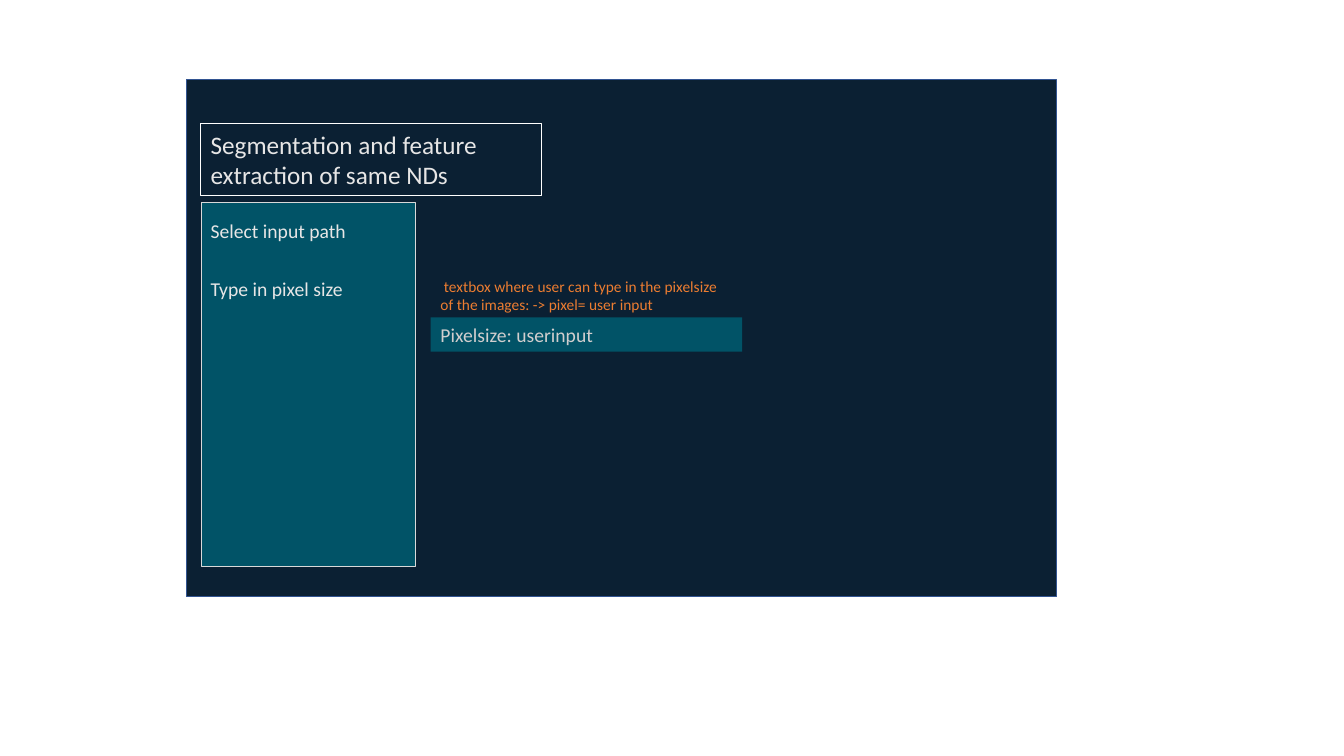
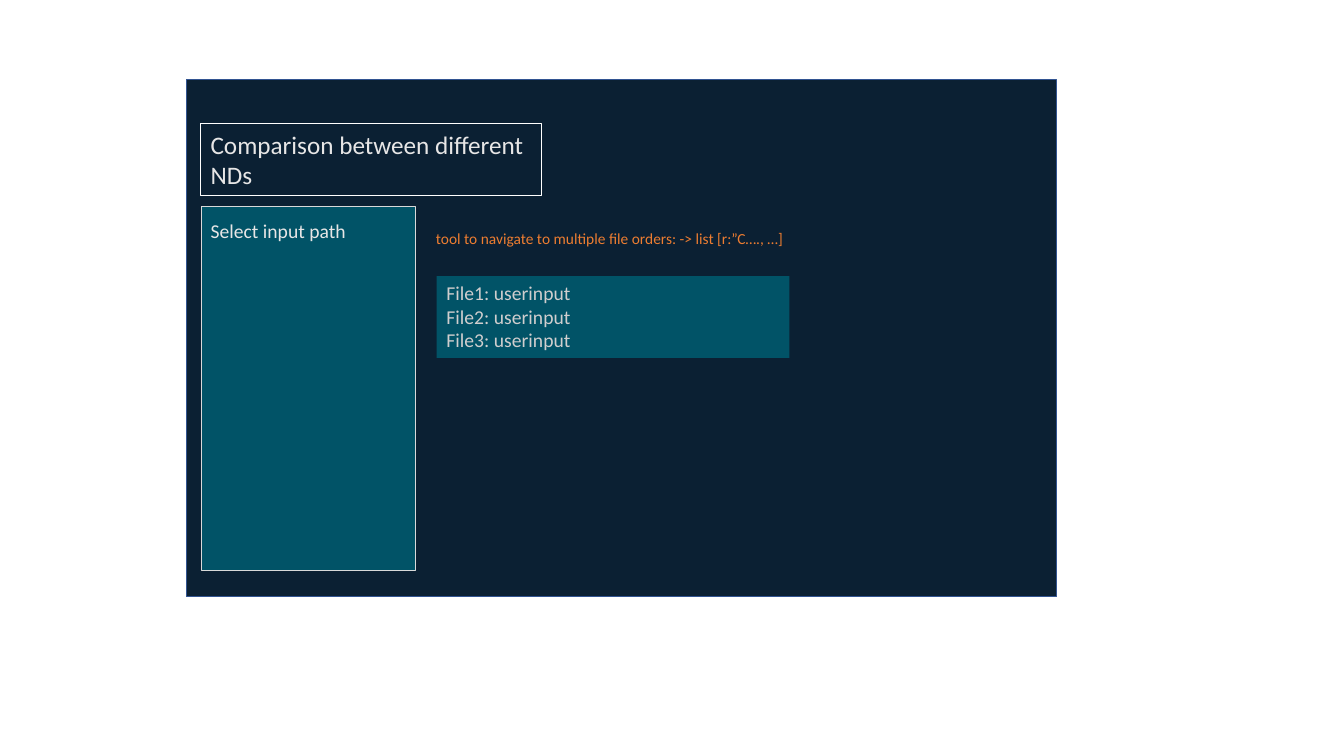
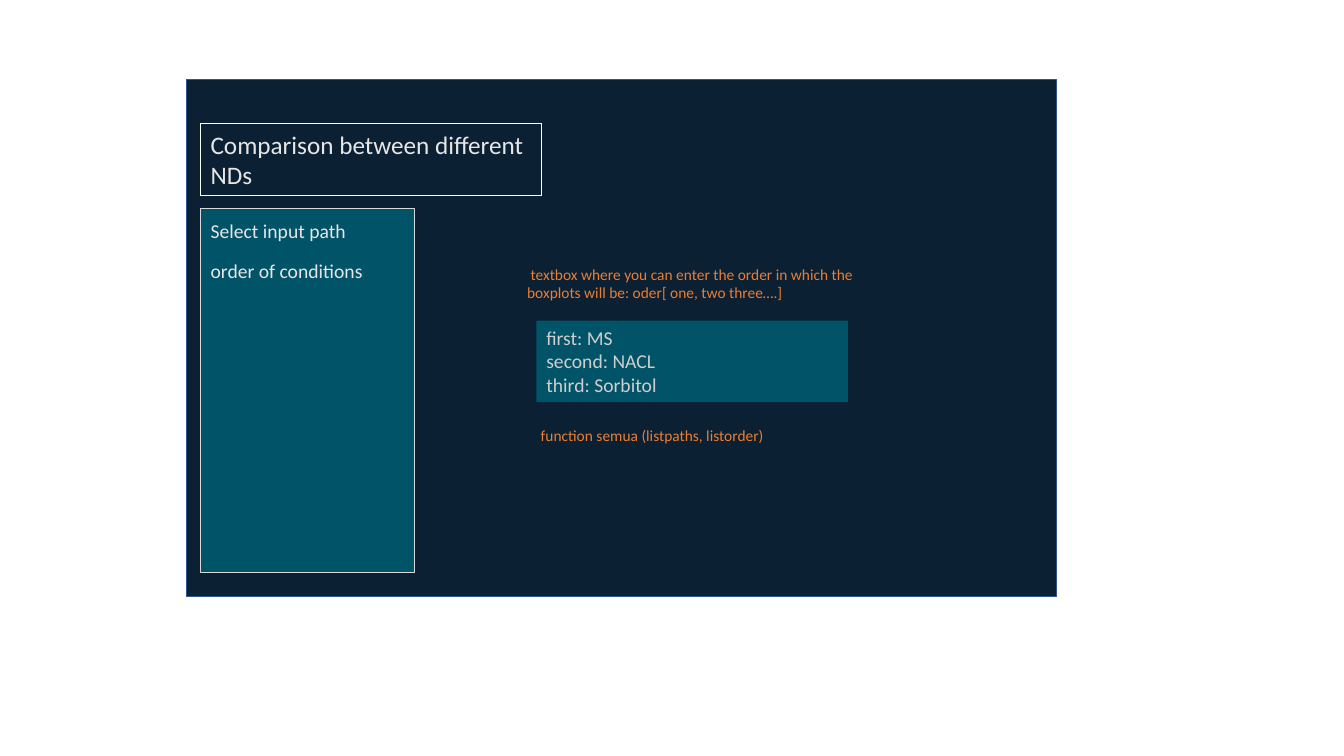
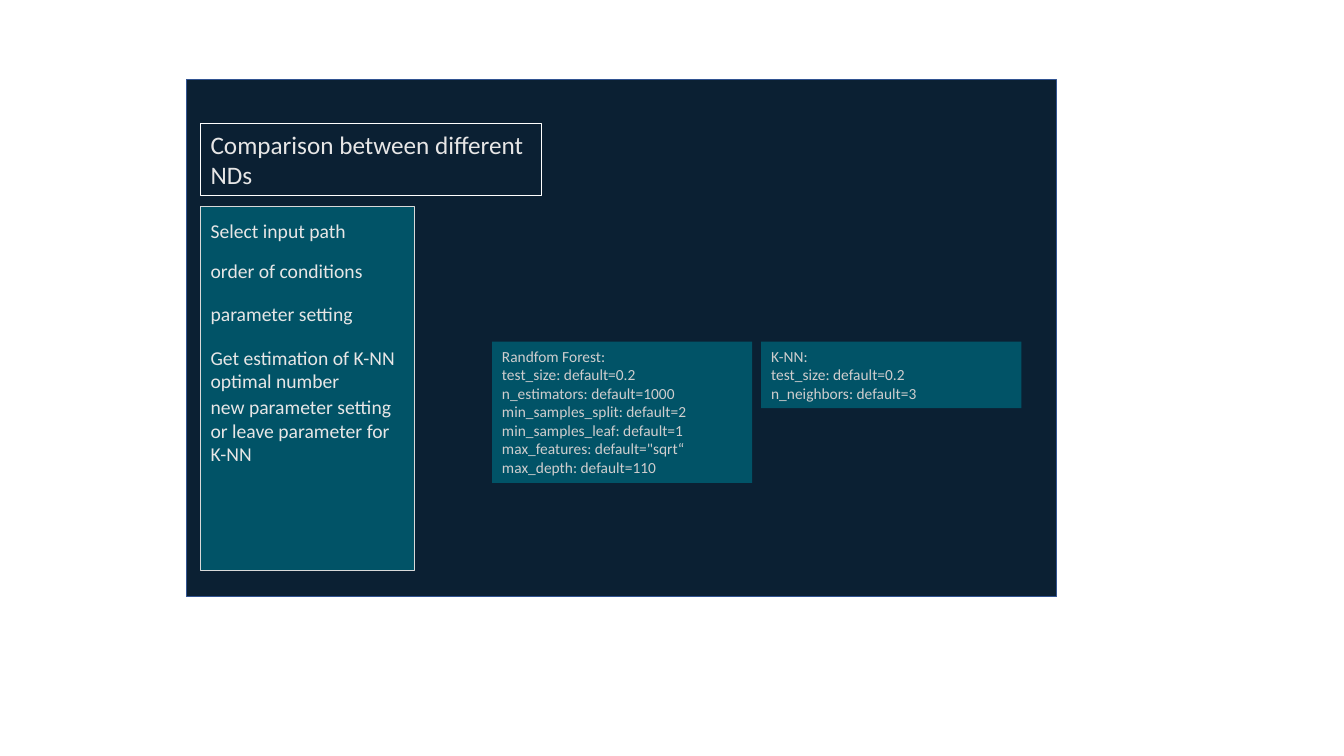
from dataclasses import dataclass

from pptx import Presentation
from pptx.dml.color import RGBColor
from pptx.enum.shapes import MSO_SHAPE as SHAPE
from pptx.enum.text import MSO_ANCHOR as ANCHOR, MSO_AUTO_SIZE as AUTO_SIZE, PP_ALIGN as ALIGN
from pptx.util import Emu, Pt


@dataclass(frozen=True)
class Theme:
    font: str = "Calibri"
    panel: str = "0B2033"
    panel_line: str = "325491"
    teal: str = "015367"
    menu_line: str = "D9D9D9"
    title_line: str = "FFFFFF"
    light: str = "E7E6E6"
    field_text: str = "D0CECE"
    note: str = "ED7D31"
    title_size: int = 18
    body_size: int = 14
    small_size: int = 11


THEME = Theme()
EMU_PER_PX = 9144
COMPARISON = "Comparison between different NDs"


def px(n):
    return Emu(n * EMU_PER_PX)


def rgb(value):
    return RGBColor.from_string(value)


def write(sp, text, size=THEME.body_size, color=THEME.light):
    tf = sp.text_frame
    tf.word_wrap = True
    tf.auto_size = AUTO_SIZE.SHAPE_TO_FIT_TEXT
    tf.vertical_anchor = ANCHOR.TOP
    for i, line in enumerate(text.split("\n")):
        p = tf.paragraphs[0] if i == 0 else tf.add_paragraph()
        p.alignment = ALIGN.LEFT
        r = p.add_run()
        r.text = line
        r.font.name = THEME.font
        r.font.size = Pt(size)
        r.font.color.rgb = rgb(color)


def add_box(slide, x, y, w, h, fill=None, line=None, weight=1):
    sp = slide.shapes.add_shape(SHAPE.RECTANGLE, px(x), px(y), px(w), px(h))
    sp.shadow.inherit = False
    if fill:
        sp.fill.solid()
        sp.fill.fore_color.rgb = rgb(fill)
    else:
        sp.fill.background()
    if line:
        sp.line.color.rgb = rgb(line)
        sp.line.width = Pt(weight)
    else:
        sp.line.fill.background()
    return sp


def add_label(slide, text, x, y, w, h, **style):
    sp = slide.shapes.add_textbox(px(x), px(y), px(w), px(h))
    write(sp, text, **style)


def add_note(slide, text, x, y, w, h):
    add_label(slide, text, x, y, w, h, size=THEME.small_size, color=THEME.note)


def add_field(slide, text, x, y, w, h, size=THEME.body_size):
    write(add_box(slide, x, y, w, h, fill=THEME.teal), text, size=size, color=THEME.field_text)


def add_window(prs, title, menu_x, menu_y, menu):
    slide = prs.slides.add_slide(prs.slide_layouts[6])
    add_box(slide, 185, 79, 863, 513, fill=THEME.panel, line=THEME.panel_line)
    heading = add_box(slide, 199, 123, 338, 71, line=THEME.title_line, weight=0.75)
    write(heading, title, size=THEME.title_size)
    add_box(slide, menu_x, menu_y, 212, 361, fill=THEME.teal, line=THEME.menu_line)
    for text, y, w, h in menu:
        add_label(slide, text, 199, y, w, h)
    return slide


def main():
    prs = Presentation()
    prs.slide_width, prs.slide_height = px(1333), px(750)

    select_path = ("Select input path", 212, 338, 34)
    order = ("order of conditions", 252, 329, 34)

    slide = add_window(prs, "Segmentation and feature extraction of same NDs", 200, 201,
                       [select_path, ("Type in pixel size", 270, 338, 34)])
    add_note(slide, " textbox where user can type in the pixelsize of the images: -> pixel= user input",
             427, 270, 309, 47)
    add_field(slide, "Pixelsize: userinput", 427, 315, 309, 34)

    slide = add_window(prs, COMPARISON, 200, 205, [select_path])
    add_note(slide, " tool to navigate to multiple file orders: -> list [r:”C…., …]", 419, 222, 377, 29)
    add_field(slide, "File1: userinput\nFile2: userinput\nFile3: userinput", 433, 274, 350, 81)

    slide = add_window(prs, COMPARISON, 199, 207, [select_path, order])
    add_note(slide, " textbox where you can enter the order in which the boxplots will be: "
                    "oder[ one, two three….]", 513, 258, 349, 47)
    add_field(slide, "first: MS\nsecond: NACL\nthird: Sorbitol", 532, 318, 309, 81)
    add_note(slide, " function semua (listpaths, listorder)", 523, 418, 349, 29)

    slide = add_window(prs, COMPARISON, 199, 205, [
        select_path,
        order,
        ("parameter setting", 295, 329, 34),
        ("Get estimation of K-NN optimal number", 338, 221, 57),
        ("new parameter setting or leave parameter for K-NN", 387, 212, 81),
    ])
    forest = ("Randfom Forest:\ntest_size: default=0.2\nn_estimators: default=1000\n"
              "min_samples_split: default=2\nmin_samples_leaf: default=1\n"
              "max_features: default=\"sqrt“\nmax_depth: default=110")
    neighbors = "K-NN:\ntest_size: default=0.2\nn_neighbors: default=3"
    for text, x, h in [(forest, 488, 140), (neighbors, 755, 66)]:
        add_field(slide, text, x, 339, 258, h, size=THEME.small_size)

    prs.save("out.pptx")


if __name__ == "__main__":
    main()
